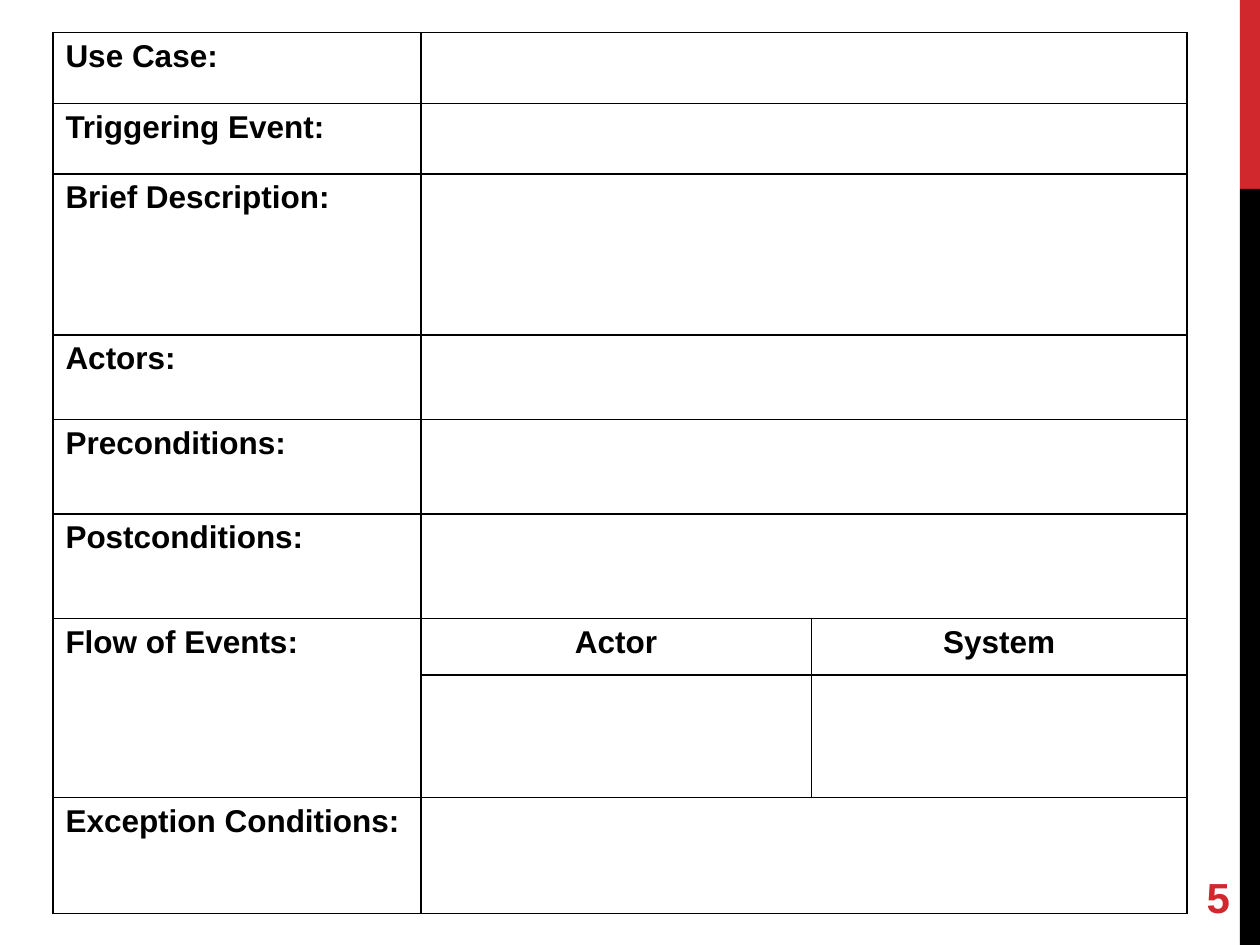
from lxml import etree
from pptx import Presentation
from pptx.dml.color import RGBColor
from pptx.enum.shapes import MSO_SHAPE
from pptx.enum.text import MSO_ANCHOR, PP_ALIGN
from pptx.oxml.ns import qn
from pptx.util import Inches, Pt

RED, BLACK = "D1282E", "000000"
COLUMN_WIDTHS = [2.92, 3.1, 2.98]
SECTIONS = [
    ("Use Case:", 0.56),
    ("Triggering Event:", 0.56),
    ("Brief Description:", 1.28),
    ("Actors:", 0.67),
    ("Preconditions:", 0.75),
    ("Postconditions:", 0.83),
    ("Flow of Events:", 0.45),
    ("", 0.97),
    ("Exception Conditions:", 0.92),
]
FLOW_ROW = 6


def rgb(value):
    return RGBColor.from_string(value)


def add_text(frame, text, size, color, align):
    paragraph = frame.paragraphs[0]
    paragraph.alignment = align
    run = paragraph.add_run()
    run.text = text
    run.font.name = "Arial"
    run.font.size = Pt(size)
    run.font.bold = True
    run.font.color.rgb = rgb(color)


def set_borders(cell, color, width):
    properties = cell._tc.get_or_add_tcPr()
    for position, side in enumerate(("lnL", "lnR", "lnT", "lnB")):
        line = etree.Element(qn(f"a:{side}"), w=str(Pt(width)))
        fill = etree.SubElement(line, qn("a:solidFill"))
        etree.SubElement(fill, qn("a:srgbClr"), val=color)
        properties.insert(position, line)


def add_bar(slide, left, top, width, height, color):
    bar = slide.shapes.add_shape(
        MSO_SHAPE.RECTANGLE, Inches(left), Inches(top), Inches(width), Inches(height))
    bar.shadow.inherit = False
    bar.fill.solid()
    bar.fill.fore_color.rgb = rgb(color)
    bar.line.fill.background()


def add_side_band(slide, left, top, width, height):
    red_height = height / 5
    add_bar(slide, left, top, width, red_height, RED)
    add_bar(slide, left, top + red_height, width, height - red_height, BLACK)


def add_page_number(slide, left, top, width, height, number):
    box = slide.shapes.add_textbox(
        Inches(left), Inches(top), Inches(width), Inches(height))
    frame = box.text_frame
    frame.word_wrap = True
    frame.vertical_anchor = MSO_ANCHOR.MIDDLE
    add_text(frame, number, 24, RED, PP_ALIGN.RIGHT)


def add_use_case_form(slide, left, top, width, height):
    form = slide.shapes.add_table(
        len(SECTIONS), len(COLUMN_WIDTHS),
        Inches(left), Inches(top), Inches(width), Inches(height)).table
    form.first_row = False
    form.horz_banding = False
    for column, column_width in zip(form.columns, COLUMN_WIDTHS):
        column.width = Inches(column_width)
    for row, (label, row_height) in enumerate(SECTIONS):
        form.rows[row].height = Inches(row_height)
        if label:
            add_text(form.cell(row, 0).text_frame, label, 18, BLACK, PP_ALIGN.LEFT)
        if row not in (FLOW_ROW, FLOW_ROW + 1):
            form.cell(row, 1).merge(form.cell(row, 2))
    form.cell(FLOW_ROW, 0).merge(form.cell(FLOW_ROW + 1, 0))
    for column, heading in enumerate(("Actor", "System"), start=1):
        add_text(form.cell(FLOW_ROW, column).text_frame, heading, 18, BLACK, PP_ALIGN.CENTER)
    for cell in form.iter_cells():
        cell.fill.background()
        set_borders(cell, BLACK, 1)


def main():
    presentation = Presentation()
    presentation.slide_width = Inches(10)
    presentation.slide_height = Inches(7.5)
    slide = presentation.slides.add_slide(presentation.slide_layouts[6])
    add_side_band(slide, 9.84, 0, 0.16, 7.5)
    add_page_number(slide, 8.42, 6.92, 1.44, 0.4, "5")
    add_use_case_form(slide, 0.42, 0.26, 9, 6.99)
    presentation.save("out.pptx")


if __name__ == "__main__":
    main()
